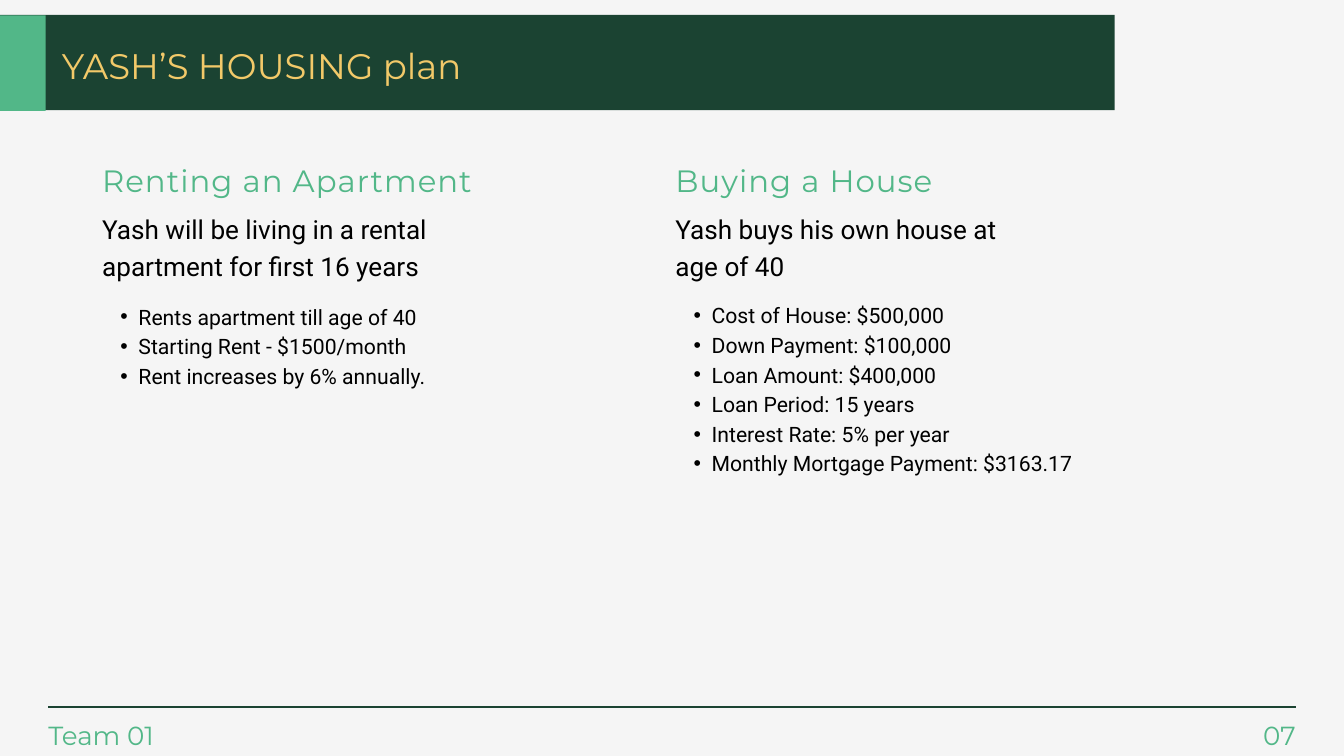
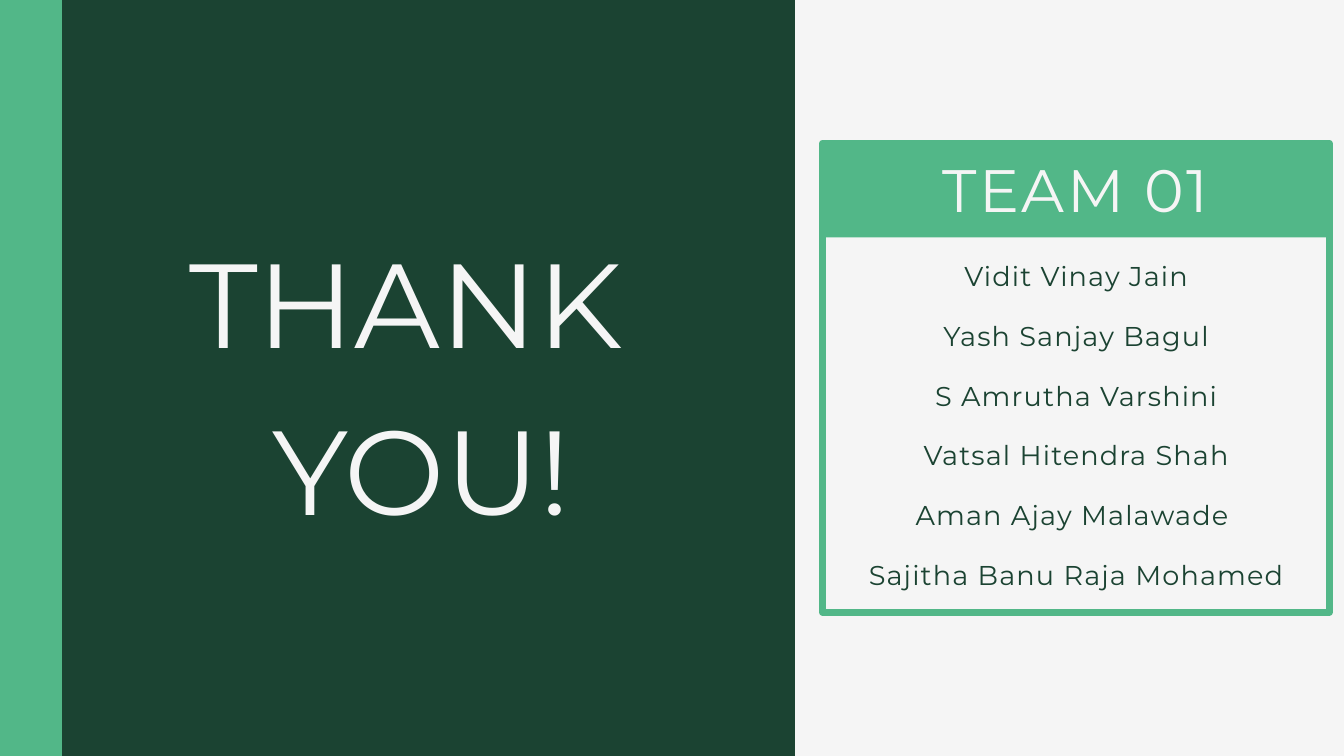
from dataclasses import dataclass

from lxml.etree import SubElement
from pptx import Presentation
from pptx.dml.color import RGBColor
from pptx.enum.shapes import MSO_CONNECTOR as Link, MSO_SHAPE as Shape
from pptx.enum.text import MSO_ANCHOR as Anchor, MSO_AUTO_SIZE as Fit, PP_ALIGN as Align
from pptx.oxml.ns import qn
from pptx.util import Pt


@dataclass(frozen=True)
class Style:
    size: float
    lead: float
    color: str
    font: str = "Montserrat"
    track: int = 0
    align: Align = Align.LEFT
    gap: float = 0
    dot: bool = False


class Theme:
    dark = "1B4332"
    mint = "52B788"
    pale = "F5F5F5"
    gold = "F2C969"
    ink = "000000"
    title = Style(38, 53.2, gold)
    head = Style(33, 56.2, mint, track=110)
    lead = Style(28, 39.2, ink, "Roboto")
    item = Style(22.7, 31.75, ink, "Roboto", dot=True)
    foot = Style(28, 39.2, mint)
    page = Style(28, 39.2, mint, align=Align.RIGHT)
    thanks = Style(128, 179.2, pale, align=Align.CENTER)
    team = Style(64.1, 70.5, pale, track=260, align=Align.CENTER)
    name = Style(29.1, 32, dark, track=120, align=Align.CENTER, gap=32)


def rgb(color):
    return RGBColor.from_string(color)


def add_bar(slide, box, color):
    bar = slide.shapes.add_shape(Shape.RECTANGLE, *map(Pt, box))
    bar.shadow.inherit = False
    bar.fill.solid()
    bar.fill.fore_color.rgb = rgb(color)
    bar.line.fill.background()


def add_frame(slide, box, color, width):
    frame = slide.shapes.add_shape(Shape.RECTANGLE, *map(Pt, box))
    frame.shadow.inherit = False
    frame.fill.background()
    frame.line.color.rgb = rgb(color)
    frame.line.width = Pt(width)


def add_rule(slide, left, right, top):
    rule = slide.shapes.add_connector(Link.STRAIGHT, Pt(left), Pt(top), Pt(right), Pt(top))
    rule.line.color.rgb = rgb(Theme.dark)
    rule.line.width = Pt(3)
    SubElement(rule.element.spPr, qn("a:effectLst"))


def set_mark(para, dot):
    props = para._p.get_or_add_pPr()
    props.set("marL", str(Pt(38.9 if dot else 0)))
    props.set("indent", str(Pt(-19.45 if dot else 0)))
    if dot:
        para.level = 1
        SubElement(props, qn("a:buChar")).set("char", "•")
    else:
        SubElement(props, qn("a:buNone"))


def write(shape, box, lines, style):
    shape.left, shape.top, shape.width, shape.height = map(Pt, box)
    frame = shape.text_frame
    frame.margin_left = frame.margin_right = frame.margin_top = frame.margin_bottom = 0
    frame.word_wrap = True
    frame.auto_size = Fit.SHAPE_TO_FIT_TEXT
    frame.vertical_anchor = Anchor.TOP
    for i, line in enumerate(lines):
        para = frame.add_paragraph() if i else frame.paragraphs[0]
        set_mark(para, style.dot)
        para.alignment = style.align
        para.line_spacing = Pt(style.lead)
        para.space_before = Pt(style.gap if i else 0)
        para.space_after = Pt(0)
        run = para.add_run()
        run.text = line
        run.font.name = style.font
        run.font.size = Pt(style.size)
        run.font.bold = False
        run.font.color.rgb = rgb(style.color)
        if style.track:
            run._r.get_or_add_rPr().set("spc", str(style.track))


def add_text(slide, box, lines, style):
    write(slide.shapes.add_textbox(0, 0, 0, 0), box, lines, style)


def fill_slot(slide, slot, box, lines, style):
    holder = slide.placeholders[slot]
    holder.element.getparent().append(holder.element)
    write(holder, box, lines, style)


def add_foot(slide, team, page):
    left, right, top = 51.84, 1388.16, 765.36
    add_text(slide, (left, top, 146, 37.4), [team], Theme.foot)
    add_text(slide, (right - 117, top, 117, 37.4), [page], Theme.page)
    add_rule(slide, left, right, 757.44)


def add_plan(deck):
    slide = deck.slides.add_slide(deck.slide_layouts[4])
    add_bar(slide, (-7.2, 15.84, 1201.5, 102.2), Theme.dark)
    add_bar(slide, (-26.64, 16.56, 75.6, 102.2), Theme.mint)
    fill_slot(slide, 0, (66.24, 39.6, 1108.8, 51.1), ["YASH’S HOUSING plan"], Theme.title)
    plans = [
        ("Renting an Apartment",
         "Yash will be living in a rental apartment for first 16 years", 455, 321.1,
         ["Rents apartment till age of 40", "Starting Rent - $1500/month",
          "Rent increases by 6% annually."]),
        ("Buying a House",
         "Yash buys his own house at age of 40", 390.2, 319.7,
         ["Cost of House: $500,000", "Down Payment: $100,000", "Loan Amount: $400,000",
          "Loan Period: 15 years", "Interest Rate: 5% per year",
          "Monthly Mortgage Payment: $3163.17"]),
    ]
    for i, (head, lead, width, top, items) in enumerate(plans):
        left = 109.44 + i * 614.16
        fill_slot(slide, 1 + 2 * i, (left, 157, 494, 51.8), [head], Theme.head)
        add_text(slide, (left, 223.2, width, 77), [lead], Theme.lead)
        fill_slot(slide, 2 + 2 * i, (left, top, 474, 31 * len(items)), items, Theme.item)
    add_foot(slide, "Team 01", "07")


def add_thanks(deck):
    slide = deck.slides.add_slide(deck.slide_layouts[1])
    add_bar(slide, (-12.24, -39.6, 864, 870.5), Theme.dark)
    add_bar(slide, (-26.64, -35.28, 92.9, 870.5), Theme.mint)
    fill_slot(slide, 0, (80.64, 219.6, 742.3, 350.6), ["THANK ", "YOU!"], Theme.thanks)
    left, top, width = 881.28, 153.36, 542.9
    add_frame(slide, (left, top, width, 502.6), Theme.mint, 7.5)
    add_bar(slide, (left, top, width, 101), Theme.mint)
    names = ["Vidit Vinay Jain", "Yash Sanjay Bagul", "S Amrutha Varshini",
             "Vatsal Hitendra Shah", "Aman Ajay Malawade ", "Sajitha Banu Raja Mohamed"]
    fill_slot(slide, 1, (906.48, 280.8, 493.2, 347.8), names, Theme.name)
    add_text(slide, (990, 169.92, 325.4, 72.7), ["TEAM 01"], Theme.team)


def main():
    deck = Presentation()
    deck.slide_width, deck.slide_height = Pt(1440), Pt(810)
    ground = deck.slide_master.background.fill
    ground.solid()
    ground.fore_color.rgb = rgb(Theme.pale)
    add_plan(deck)
    add_thanks(deck)
    deck.save("out.pptx")


if __name__ == "__main__":
    main()
